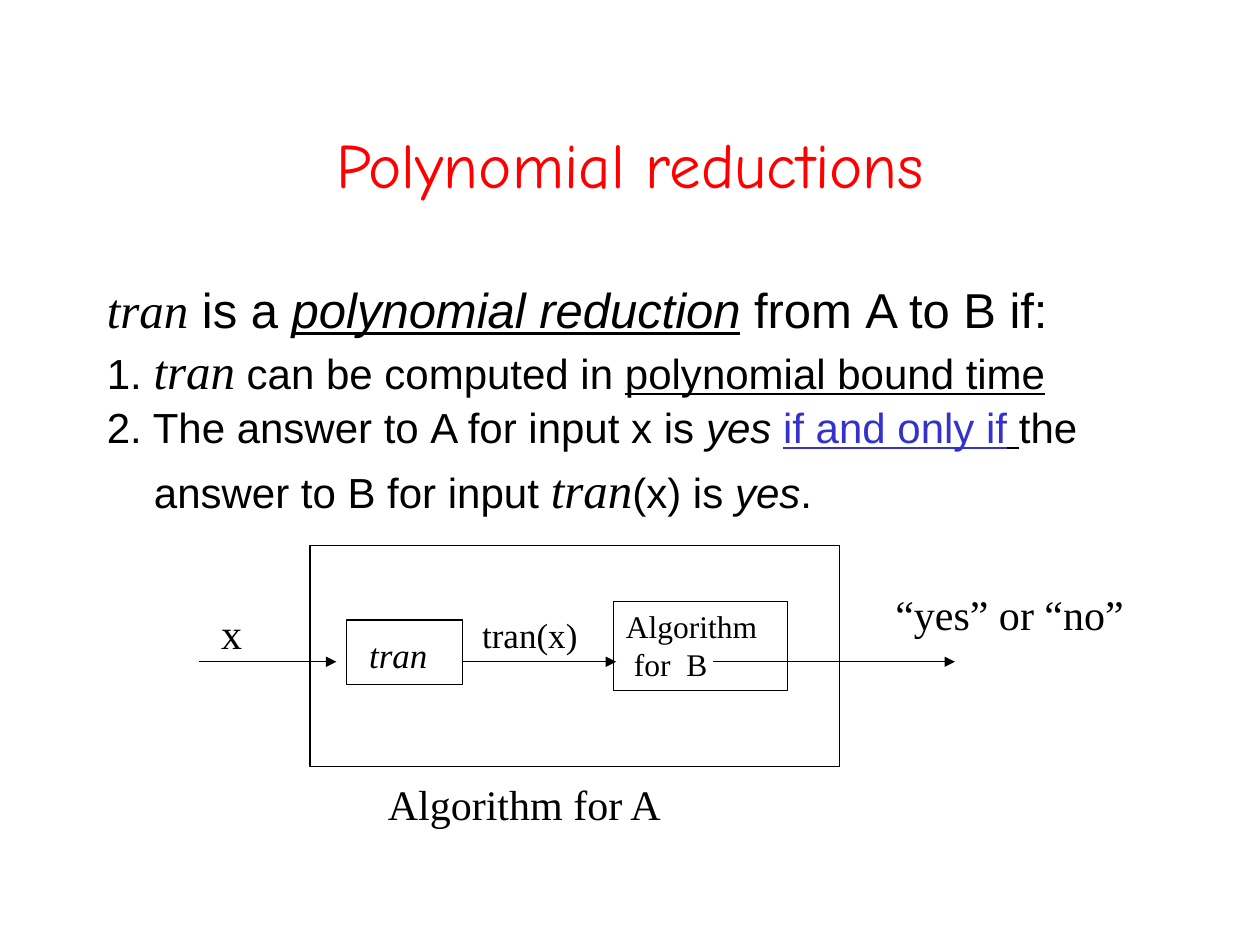
from lxml import etree
from pptx import Presentation
from pptx.dml.color import RGBColor
from pptx.enum.shapes import MSO_CONNECTOR, MSO_SHAPE
from pptx.enum.text import MSO_ANCHOR, MSO_AUTO_SIZE, PP_ALIGN
from pptx.oxml.ns import qn
from pptx.util import Cm, Pt

LINE = MSO_CONNECTOR.STRAIGHT
RECT = MSO_SHAPE.RECTANGLE
TOP, MIDDLE = MSO_ANCHOR.TOP, MSO_ANCHOR.MIDDLE
LEFT, CENTER = PP_ALIGN.LEFT, PP_ALIGN.CENTER
FIXED, GROW = MSO_AUTO_SIZE.NONE, MSO_AUTO_SIZE.SHAPE_TO_FIT_TEXT

COLORS = {"ink": "000000", "title": "FF0000", "accent": "3333CC"}
SANS, SERIF, HAND = "Arial", "Times New Roman", "Comic Neue"


def color(name):
    return RGBColor.from_string(COLORS[name])


def add_run(para, text, size=24, face=SERIF, ink="ink", italic=False, under=False):
    run = para.add_run()
    run.text = text
    font = run.font
    font.size, font.name = Pt(size), face
    font.italic, font.underline = italic, under
    font.color.rgb = color(ink)


def place(shape, x, y, w, h):
    shape.left, shape.top, shape.width, shape.height = Cm(x), Cm(y), Cm(w), Cm(h)


def set_indent(para, left):
    """Hang the first line back to the margin, without a bullet."""
    props = para._p.get_or_add_pPr()
    props.set("marL", str(Cm(left)))
    props.set("indent", str(-Cm(left)))
    etree.SubElement(props, qn("a:buNone"))


def add_title(slide, box):
    title = slide.shapes.title
    place(title, *box)
    frame = title.text_frame
    frame.auto_size, frame.vertical_anchor = FIXED, MIDDLE
    para = frame.paragraphs[0]
    para.alignment = CENTER
    add_run(para, "Polynomial reductions", 36, HAND, "title")


def add_body(slide, box):
    body = slide.placeholders[1]
    place(body, *box)
    frame = body.text_frame
    frame.auto_size, frame.vertical_anchor = FIXED, TOP
    name = ("tran", {"size": 28, "face": SERIF, "italic": True})
    big = {"size": 28}
    items = [
        [name, (" is a ", big),
         ("polynomial reduction", {"size": 28, "italic": True, "under": True}),
         (" from Α to Β if:", big)],
        [("1. ", {}), name, (" can be computed in ", {}),
         ("polynomial bound time", {"under": True})],
        [("2. The answer to Α for input x is ", {}), ("yes ", {"italic": True}),
         ("if and only if", {"ink": "accent", "under": True}),
         (" ", {"under": True}), ("the answer to Β for input ", {}), name,
         ("(x) is ", {}), ("yes", {"italic": True}), (".", {}), (" ", {"size": 32})],
    ]
    for i, item in enumerate(items):
        para = frame.add_paragraph() if i else frame.paragraphs[0]
        para.alignment, para.space_before = LEFT, Pt(1.4)
        set_indent(para, 0.95)
        for text, style in item:
            add_run(para, text, **{"face": SANS, **style})


def add_flow(slide, box):
    """Draw the algorithm for A, with all parts set from the box's corner."""
    left, top = box
    shapes = slide.shapes

    def add_box(x, y, w, h):
        rect = shapes.add_shape(RECT, Cm(left + x), Cm(top + y), Cm(w), Cm(h))
        rect.shadow.inherit = False
        rect.fill.background()
        rect.line.color.rgb = color("ink")
        rect.line.width = Pt(0.75)
        rect.text_frame.vertical_anchor = TOP
        para = rect.text_frame.paragraphs[0]
        para.alignment = LEFT
        return para

    def add_label(text, x, y, w, h, size=24, wrap=False):
        label = shapes.add_textbox(Cm(left + x), Cm(top + y), Cm(w), Cm(h))
        frame = label.text_frame
        frame.word_wrap, frame.auto_size = wrap, GROW
        add_run(frame.paragraphs[0], text, size)

    def add_arrow(start, end, y):
        arrow = shapes.add_connector(
            LINE, Cm(left + start), Cm(top + y), Cm(left + end), Cm(top + y))
        arrow.line.color.rgb = color("ink")
        arrow.line.width = Pt(0.75)
        etree.SubElement(arrow.line._get_or_add_ln(), qn("a:tailEnd"), type="triangle")
        etree.SubElement(arrow._element.spPr, qn("a:effectLst"))

    tran = add_box(2.97, 1.5, 2.34, 1.3)
    add_run(tran, " ")
    add_run(tran, "tran", 20, italic=True)

    inner = add_box(8.36, 1.12, 3.51, 1.8)
    set_indent(inner, 0.16)
    add_run(inner, "Algorithm", 18)
    inner.add_line_break()
    add_run(inner, "for  B", 18)

    add_box(2.24, 0, 10.67, 4.45)
    for start, end in ((0, 2.77), (5.31, 8.41), (10.36, 15.24)):
        add_arrow(start, end, 2.34)

    add_label("x", 0.2, 1.12, 0.94, 1.27)
    add_label("tran(x)", 5.46, 1.24, 2.5, 1.09, size=20)
    add_label("“yes” or “no”", 13.79, 0.74, 5.46, 1.27, wrap=True)
    add_label("Algorithm for A", 3.56, 4.57, 6.07, 1.27)


def main():
    deck = Presentation()
    deck.slide_width, deck.slide_height = Cm(25.4), Cm(19.05)
    slide = deck.slides.add_slide(deck.slide_layouts[1])
    add_title(slide, (1.9, 1.7, 21.6, 3.18))
    add_body(slide, (1.9, 5.5, 21.6, 11.43))
    add_flow(slide, (4.01, 11))
    deck.save("out.pptx")


if __name__ == "__main__":
    main()
